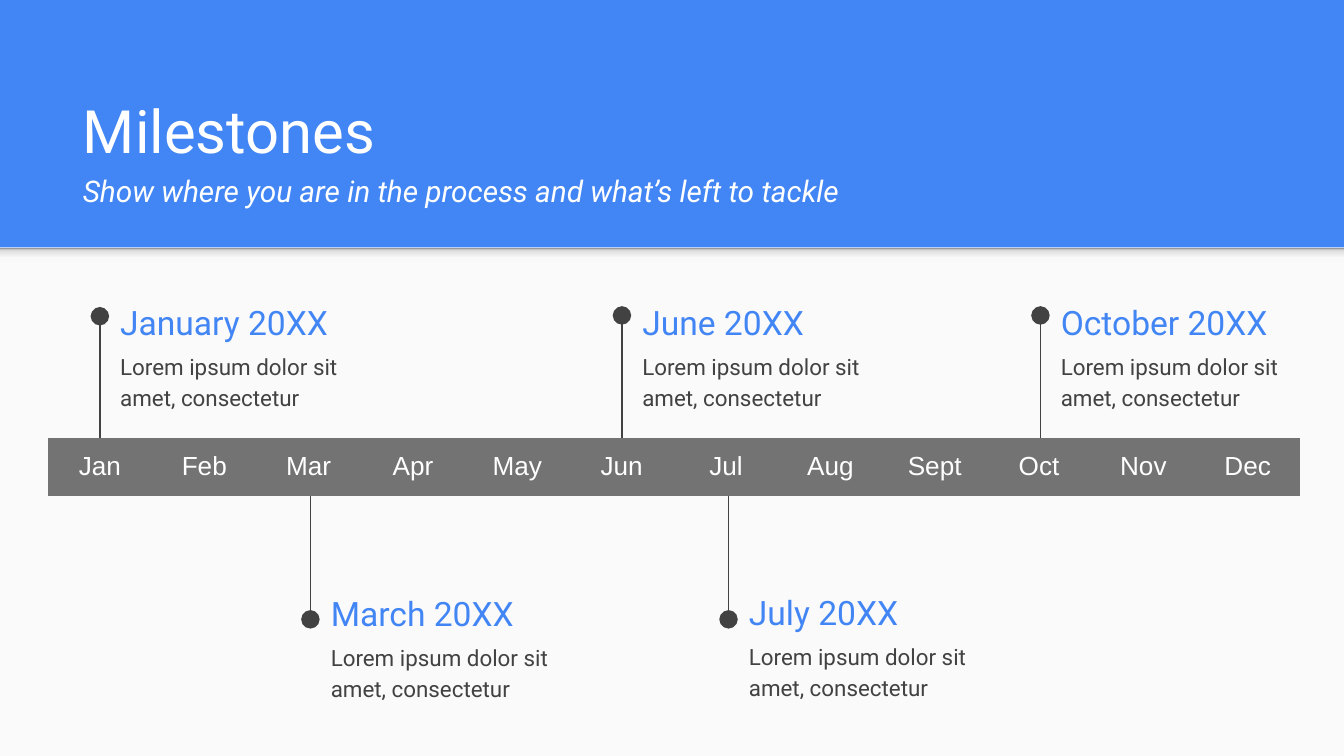
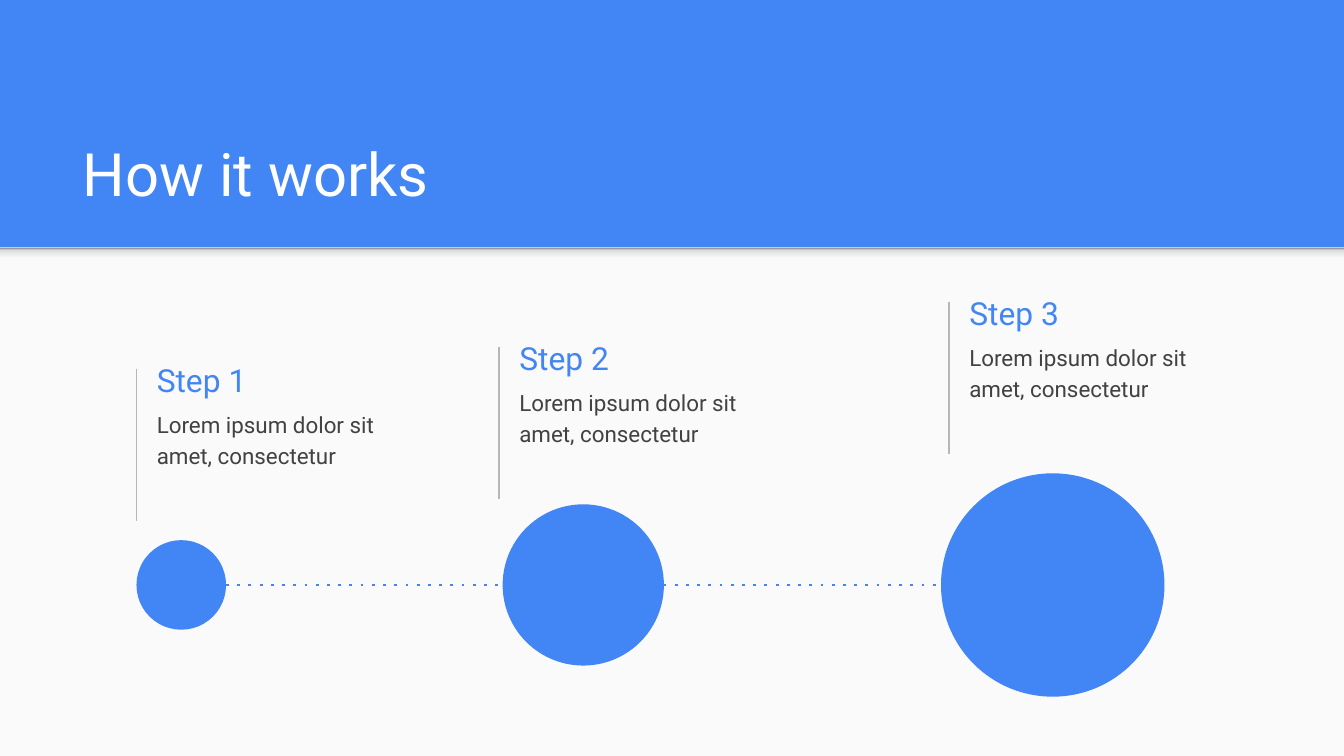
from dataclasses import dataclass

from lxml.etree import SubElement
from pptx import Presentation
from pptx.dml.color import RGBColor
from pptx.enum.shapes import MSO_CONNECTOR, MSO_SHAPE
from pptx.enum.text import MSO_ANCHOR, PP_ALIGN
from pptx.oxml.ns import qn
from pptx.util import Pt

WIDTH, HEIGHT = 720, 405
BAND = 132.6
PAD = 7.2
BLUE, WHITE, PAPER = "4285F4", "FFFFFF", "FAFAFA"
DARK, GREY, PALE = "424242", "737373", "B7B7B7"
FONT = "Roboto"
SHADE = [(0, "F9F9F9"), (36, "F9F9F9"), (80, "DEDEDE"), (100, "999999")]
LOREM = "Lorem ipsum dolor sit amet, consectetur"
MONTHS = "Jan Feb Mar Apr May Jun Jul Aug Sept Oct Nov Dec".split()
NO_GRID = "{2D5ABB26-0587-4C30-8999-92F81FD0307C}"


@dataclass
class Note:
    """A heading and body text beside a vertical stem."""
    name: str
    x: float
    top: float
    start: float
    end: float


@dataclass
class Step:
    name: str
    x: float
    top: float
    left: float
    size: float


NOTES = [
    Note("January 20XX", 53.5, 157.2, 235.2, 169.4),
    Note("March 20XX", 166.3, 313, 265.8, 331.8),
    Note("June 20XX", 333.2, 157.2, 234.8, 169),
    Note("July 20XX", 390.3, 312.6, 265.8, 331.8),
    Note("October 20XX", 557.4, 157.2, 234.8, 169),
]
STEPS = [
    Step("Step 1", 73.1, 188, 73.1, 48),
    Step("Step 2", 267.3, 176.4, 269.3, 86.4),
    Step("Step 3", 508.4, 152.2, 504.1, 119.7),
]
AXIS = 313.4


def tint(code: str) -> RGBColor:
    return RGBColor.from_string(code)


def add_form(shapes, kind, x: float, y: float, w: float, h: float, fill: str):
    form = shapes.add_shape(kind, Pt(x), Pt(y), Pt(w), Pt(h))
    form.shadow.inherit = False
    form.line.fill.background()
    form.fill.solid()
    form.fill.fore_color.rgb = tint(fill)
    return form


def add_line(shapes, x: float, y: float, x2: float, y2: float, color: str,
             width: float = 0.75, dash: str = "", dot: bool = False) -> None:
    link = shapes.add_connector(MSO_CONNECTOR.STRAIGHT,
                                Pt(x), Pt(y), Pt(x2), Pt(y2))
    link.line.color.rgb = tint(color)
    link.line.width = Pt(width)
    props = link._element.spPr
    line = props.find(qn("a:ln"))
    if dash:
        SubElement(line, qn("a:prstDash"), val=dash)
    if dot:
        SubElement(line, qn("a:tailEnd"), type="oval", w="lg", len="lg")
    SubElement(props, qn("a:effectLst"))


def add_box(slide, x: float, y: float, w: float, h: float, anchor):
    box = slide.shapes.add_textbox(Pt(x), Pt(y), Pt(w), Pt(h))
    frame = box.text_frame
    frame.word_wrap = True
    frame.vertical_anchor = anchor
    frame.margin_left = frame.margin_right = Pt(PAD)
    frame.margin_top = frame.margin_bottom = Pt(PAD)
    return frame


def write(para, text: str, size: float, color: str, font: str = FONT) -> None:
    para.text = text
    para.font.size = Pt(size)
    para.font.name = font
    para.font.color.rgb = tint(color)


def start_slide(deck, title: str, sub: str = ""):
    """Add a slide with the blue band, the shaded edge and the title."""
    slide = deck.slides.add_slide(deck.slide_layouts[6])
    slide.background.fill.solid()
    slide.background.fill.fore_color.rgb = tint(BLUE)
    add_form(slide.shapes, MSO_SHAPE.RECTANGLE,
             0, BAND, WIDTH, HEIGHT - BAND, PAPER)
    edge = add_form(slide.shapes, MSO_SHAPE.RECTANGLE,
                    0, BAND, WIDTH, 8.6, PAPER)
    edge.fill.gradient()
    edge.fill.gradient_angle = 90
    stops = edge._element.spPr.find(".//" + qn("a:gsLst"))
    stops.clear()
    for place, color in SHADE:
        stop = SubElement(stops, qn("a:gs"), pos=str(place * 1000))
        SubElement(stop, qn("a:srgbClr"), val=color)

    frame = add_box(slide, 37.3, 58.3, 647.3, 60.5, MSO_ANCHOR.BOTTOM)
    head = frame.paragraphs[0]
    write(head, title, 32, WHITE)
    if sub:
        para = frame.add_paragraph()
        write(para, sub, 16, WHITE)
        para.font.italic = True
        head.space_after = para.space_after = Pt(4)
    return slide


def add_note(slide, note: Note, size: float, color: str, dot: bool) -> None:
    add_line(slide.shapes, note.x, note.start, note.x, note.end,
             color, dot=dot)
    left = note.x + 3.8
    head = add_box(slide, left, note.top, 142.6, 31, MSO_ANCHOR.MIDDLE)
    write(head.paragraphs[0], note.name, size, BLUE)
    body = add_box(slide, left, note.top + 22.8, 142.6, 45.4, MSO_ANCHOR.TOP)
    para = body.paragraphs[0]
    write(para, LOREM, 12, DARK)
    para.line_spacing = 1.15
    para.space_after = Pt(16)


def add_months(slide) -> None:
    wide, high = 55.9, 30.5
    table = slide.shapes.add_table(
        1, len(MONTHS), Pt(25.6), Pt(234.7),
        Pt(wide * len(MONTHS)), Pt(high)).table
    table.first_row = table.horz_banding = False
    table._tbl.tblPr.find(qn("a:tableStyleId")).text = NO_GRID
    table.rows[0].height = Pt(high)
    for col, month in enumerate(MONTHS):
        table.columns[col].width = Pt(wide)
        cell = table.cell(0, col)
        cell.fill.solid()
        cell.fill.fore_color.rgb = tint(GREY)
        cell.margin_left = cell.margin_right = Pt(PAD)
        cell.margin_top = cell.margin_bottom = Pt(PAD)
        para = cell.text_frame.paragraphs[0]
        write(para, month, 14, WHITE, "Arial")
        para.alignment = PP_ALIGN.CENTER


def draw_miles(deck) -> None:
    slide = start_slide(
        deck, "Milestones",
        "Show where you are in the process and what’s left to tackle")
    for note in NOTES:
        add_note(slide, note, 18, DARK, True)
    add_months(slide)


def draw_steps(deck) -> None:
    slide = start_slide(deck, "How it works")
    for step in STEPS:
        start = step.top + 9.5
        note = Note(step.name, step.x, step.top, start, start + 81.6)
        add_note(slide, note, 17, PALE, False)
    group = slide.shapes.add_group_shape().shapes
    first, last = STEPS[0], STEPS[-1]
    add_line(group, first.left + first.size, AXIS, last.left, AXIS,
             BLUE, 1.5, "dot")
    for step in STEPS:
        add_form(group, MSO_SHAPE.OVAL, step.left, AXIS - step.size / 2,
                 step.size, step.size, BLUE)


def main() -> None:
    deck = Presentation()
    deck.slide_width, deck.slide_height = Pt(WIDTH), Pt(HEIGHT)
    draw_miles(deck)
    draw_steps(deck)
    deck.save("out.pptx")


if __name__ == "__main__":
    main()
